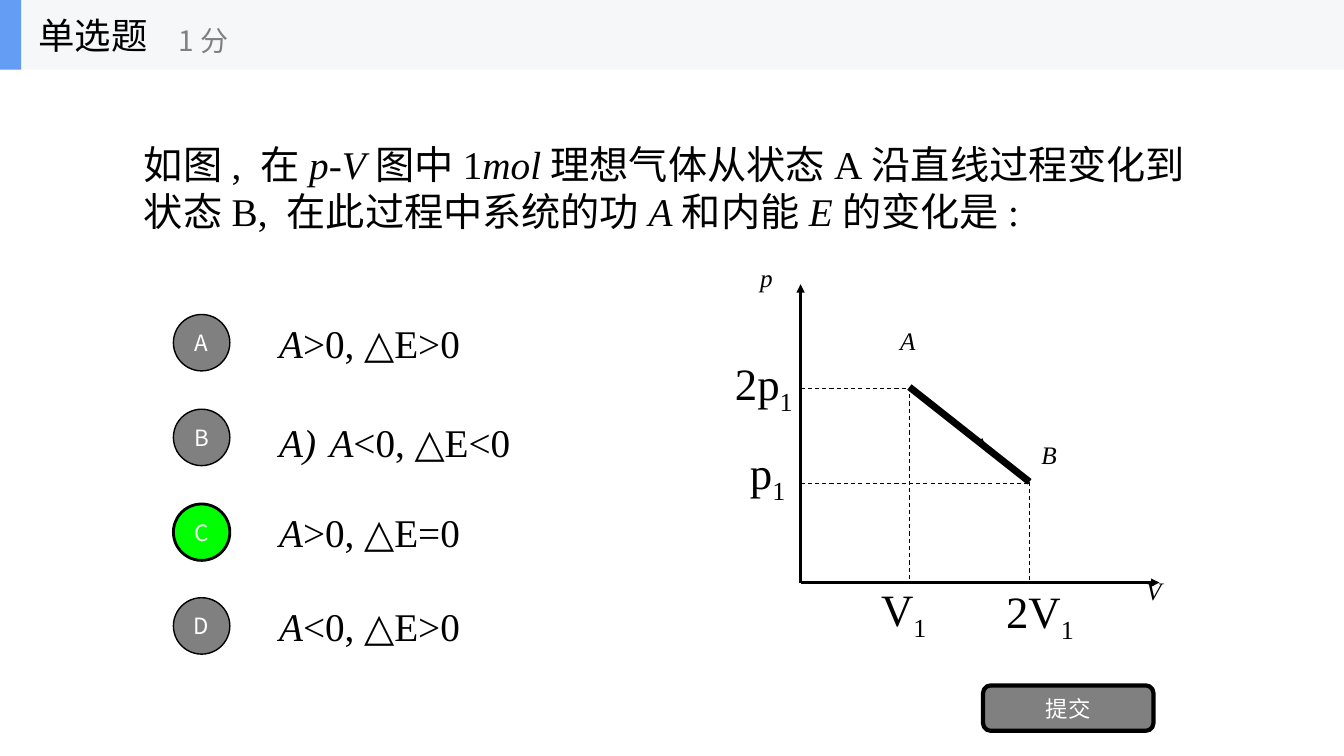
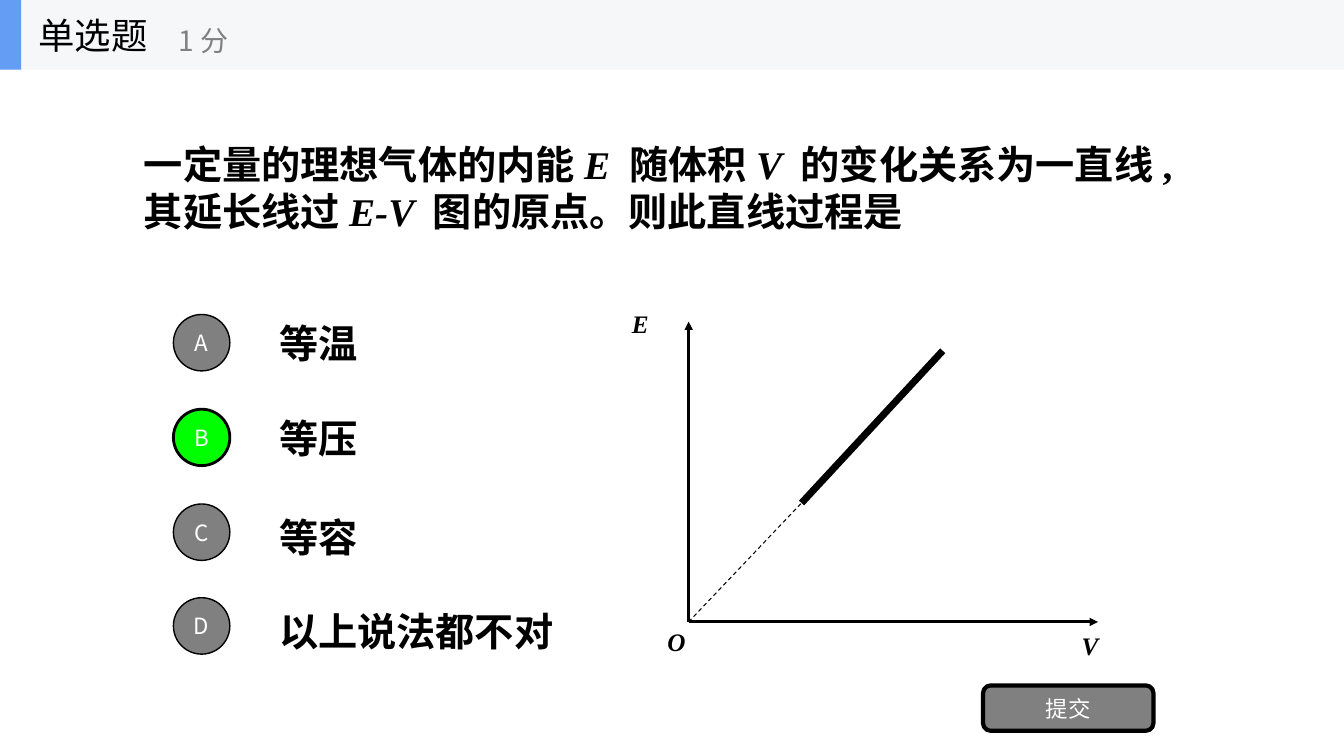
from lxml import etree
from pptx import Presentation
from pptx import util as u
from pptx.dml.color import RGBColor
from pptx.enum import dml, shapes, text
from pptx.oxml.ns import qn

PX = 9144
WIDE, HIGH = 1333, 750
BAND = 69
SANS, SERIF = "Noto Sans CJK SC", "Times New Roman"
BLACK, WHITE, GRAY = "000000", "FFFFFF", "808080"
GREEN, BLUE, PALE = "00FF00", "639EF4", "F6F7F8"
MIDDLE = text.MSO_ANCHOR.MIDDLE
KINDS = shapes.MSO_SHAPE


def px(*nums):
    return [u.Emu(n * PX) for n in nums]


def hue(code):
    return RGBColor.from_string(code)


def style(para, size, face, color, bold=False):
    font = para.font
    font.size, font.name, font.bold = u.Pt(size), face, bold
    font.color.rgb = hue(color)


def write(para, words):
    for i, part in enumerate(words.split("*")):
        for j, bit in enumerate(part.split("_")):
            if not bit:
                continue
            run = para.add_run()
            run.text = bit
            if i % 2:
                run.font.italic = True
            if j % 2:
                run._r.get_or_add_rPr().set("baseline", "-25000")


def textbox(slide, box, words, size, face=SERIF, color=BLACK, bold=False, hang=None):
    frame = slide.shapes.add_textbox(*px(*box)).text_frame
    frame.word_wrap = True
    frame.vertical_anchor = MIDDLE
    para = frame.paragraphs[0]
    if hang is not None:
        para.line_spacing = 1.2
        props = para._p.get_or_add_pPr()
        props.set("marL", str(50 * PX))
        props.set("indent", str(-50 * PX))
        if hang:
            etree.SubElement(props, qn("a:buFont"), typeface="+mj-lt")
            etree.SubElement(props, qn("a:buAutoNum"), type=hang)
    style(para, size, face, color, bold)
    write(para, words)
    return frame


def label(slide, box, words, size=18, bold=False):
    frame = textbox(slide, box, words, size, bold=bold)
    frame.vertical_anchor = text.MSO_ANCHOR.TOP
    frame.word_wrap = False
    frame.auto_size = text.MSO_AUTO_SIZE.SHAPE_TO_FIT_TEXT


def block(slide, kind, box, fill, edge=0, words=""):
    shape = slide.shapes.add_shape(kind, *px(*box))
    shape.shadow.inherit = False
    shape.fill.solid()
    shape.fill.fore_color.rgb = hue(fill)
    if edge:
        shape.line.color.rgb = hue(BLACK)
        shape.line.width = u.Pt(edge)
    else:
        shape.line.fill.background()
    if words:
        frame = shape.text_frame
        frame.margin_left = frame.margin_right = 0
        frame.vertical_anchor = MIDDLE
        para = frame.paragraphs[0]
        para.alignment = text.PP_ALIGN.CENTER
        style(para, 16, SANS, WHITE)
        write(para, words)


def line(slide, ends, width, dash=False, arrow=False):
    wire = slide.shapes.add_connector(shapes.MSO_CONNECTOR.STRAIGHT, *px(*ends))
    wire.line.color.rgb = hue(BLACK)
    wire.line.width = u.Pt(width)
    if dash:
        wire.line.dash_style = dml.MSO_LINE.DASH
    props = wire._element.spPr
    if arrow:
        etree.SubElement(props.find(qn("a:ln")), qn("a:tailEnd"), type="triangle")
    etree.SubElement(props, qn("a:effectLst"))


def header(slide):
    block(slide, KINDS.RECTANGLE, (0, 0, WIDE, BAND), PALE)
    block(slide, KINDS.RECTANGLE, (0, 0, 21, BAND), BLUE)
    title = slide.shapes.title
    slide.shapes._spTree.append(title._element)
    title.left, title.top, title.width, title.height = px(28, 0, 208, BAND)
    frame = title.text_frame
    frame.vertical_anchor = MIDDLE
    para = frame.paragraphs[0]
    para.alignment = text.PP_ALIGN.LEFT
    style(para, 26, SANS, BLACK)
    write(para, "单选题")
    textbox(slide, (167, 12, 250, 56), "1分", 20, SANS, GRAY)


def choices(slide, left, top, items, right, bold):
    for i, (name, (words, hang)) in enumerate(zip("ABCD", items)):
        y = top + round(i * 93.75)
        textbox(slide, (left + 95, y, 933, 70), words, 28, bold=bold, hang=hang)
        good = name == right
        block(slide, KINDS.OVAL, (left, y + 7, 56, 56),
              GREEN if good else GRAY, 2 if good else 1, name)


def quiz(deck, ask, items, right, bold=False):
    slide = deck.slides.add_slide(deck.slide_layouts[5])
    header(slide)
    textbox(slide, (133, BAND, 1067, 234), ask, 28, bold=bold)
    choices(slide, 172, 305, items, right, bold)
    block(slide, KINDS.ROUNDED_RECTANGLE, (975, 680, 169, 45), GRAY, 3, "提交")
    return slide


def axes(slide, x, y, wide, high):
    line(slide, (x, y, x + wide, y), 2, arrow=True)
    line(slide, (x, y, x, y - high), 2, arrow=True)


def pressure(slide, x, y):
    axes(slide, x, y, 356, 296)
    ax, ay, bx, by = x + 108, y - 194, x + 227, y - 100
    for ends in ((ax, ay, ax, y), (bx, by, bx, y),
                 (x, by + 2, bx, by + 2), (x, ay + 1, ax, ay + 1)):
        line(slide, ends, 0.75, dash=True)
    line(slide, (ax, ay, bx, by), 5)
    line(slide, (ax + 29, ay + 21, ax + 76, ay + 59), 0.75, arrow=True)
    for dx, dy, wide, words in ((-50, -323, 33, "*p*"), (333, -12, 37, "*V*"),
                                (89, -260, 36, "*A*"), (229, -147, 36, "*B*")):
        label(slide, (x + dx, y + dy, wide, 40), words)
    for dx, dy, wide, words in ((-75, -230, 82, "2p_1"), (-60, -142, 57, "p_1"),
                                (70, -6, 68, "V_1"), (194, -4, 90, "2V_1")):
        label(slide, (x + dx, y + dy, wide, 64), words, 32)


def energy(slide, x, y):
    axes(slide, x, y, 406, 298)
    line(slide, (x, y, x + 112, y - 118), 0.75, dash=True)
    line(slide, (x + 112, y - 118, x + 252, y - 269), 5)
    for dx, dy, words in ((-66, -316, "*E*"), (380, 3, "*V*"), (-31, -1, "*O*")):
        label(slide, (x + dx, y + dy, 37, 40), words, bold=True)


def main():
    deck = Presentation()
    deck.slide_width, deck.slide_height = px(WIDE, HIGH)
    first = quiz(
        deck,
        "如图, 在*p-V*图中1*mol*理想气体从状态A沿直线过程变化到状态B, "
        "在此过程中系统的功*A*和内能*E*的变化是:",
        [("*A*>0, △E>0", None), ("*A*<0, △E<0", "alphaUcParenR"),
         ("*A*>0, △E=0", None), ("*A*<0, △E>0", None)], "C")
    pressure(first, 794, 578)
    second = quiz(
        deck,
        "一定量的理想气体的内能*E *随体积*V *的变化关系为一直线, "
        "其延长线过*E-V *图的原点。则此直线过程是",
        [("等温", None), ("等压", None), ("等容", ""), ("以上说法都不对", "")],
        "B", bold=True)
    energy(second, 683, 617)
    deck.save("out.pptx")


if __name__ == "__main__":
    main()
